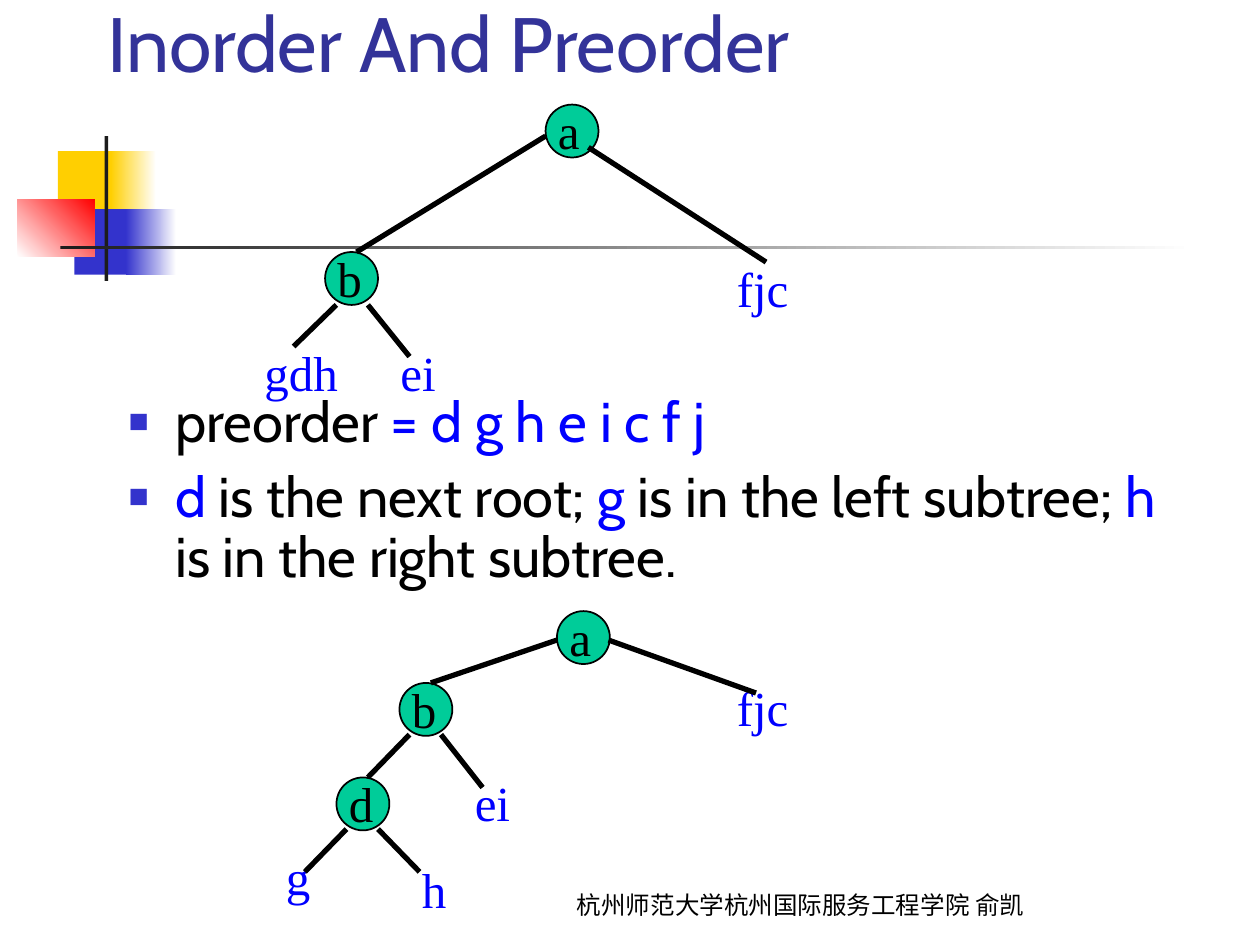
from lxml.etree import SubElement
from pptx import Presentation
from pptx.dml.color import RGBColor
from pptx.enum.shapes import MSO_CONNECTOR, MSO_SHAPE
from pptx.enum.text import MSO_ANCHOR, MSO_AUTO_SIZE, PP_ALIGN
from pptx.oxml.ns import qn
from pptx.util import Inches, Pt

COLORS = {
    "title": "333399", "text": "000000", "accent": "0000FF", "bullet": "3333CC",
    "node": "00CC99", "yellow": "FFCF01", "blue": "3333CC", "red": "FF0000",
    "bar": "1C1C1C", "white": "FFFFFF",
}
NODE_SIZE = 0.42
LABEL_HEIGHT = 0.57
LABEL_RISE = 0.08


def color(name):
    """Return the named palette colour."""
    return RGBColor.from_string(COLORS[name])


def apply_format(target, values):
    """Set every attribute in a dict of format values."""
    for name, value in values.items():
        setattr(target, name, value)


class SlideBuilder:
    """Holds the slide style and draws each kind of element."""

    body_font = "Cabin"
    tree_font = "Times New Roman"

    def __init__(self, slide):
        self.slide = slide

    def add_text(self, paragraph, text, size, font, color_name):
        """Add one formatted run to a paragraph."""
        run = paragraph.add_run()
        run.text = text
        apply_format(run.font, {"size": Pt(size), "name": font})
        run.font.color.rgb = color(color_name)

    def place(self, shape, left, top, width, height):
        """Move and size a shape."""
        apply_format(shape, {"left": Inches(left), "top": Inches(top),
                             "width": Inches(width), "height": Inches(height)})

    def title(self, text, box):
        """Fill the title placeholder."""
        shape = self.slide.shapes.title
        self.place(shape, *box)
        apply_format(shape.text_frame, {"vertical_anchor": MSO_ANCHOR.BOTTOM,
                                        "auto_size": MSO_AUTO_SIZE.NONE})
        paragraph = shape.text_frame.paragraphs[0]
        paragraph.alignment = PP_ALIGN.LEFT
        self.add_text(paragraph, text, 44, self.body_font, "title")

    def bullets(self, items, box):
        """Fill the body placeholder with bulleted items of coloured runs."""
        shape = self.slide.placeholders[1]
        self.place(shape, *box)
        frame = shape.text_frame
        frame.auto_size = MSO_AUTO_SIZE.NONE
        for index, runs in enumerate(items):
            paragraph = frame.add_paragraph() if index else frame.paragraphs[0]
            self.bullet(paragraph)
            apply_format(paragraph, {"line_spacing": 0.9,
                                     "space_before": Pt(7.9 if index else 0)})
            for text, color_name in runs:
                self.add_text(paragraph, text, 32, self.body_font, color_name)

    def bullet(self, paragraph):
        """Give a paragraph a small square bullet and hanging indent."""
        properties = paragraph._p.get_or_add_pPr()
        properties.set("marL", str(Inches(0.37)))
        properties.set("indent", str(-Inches(0.37)))
        bullet_color = SubElement(properties, qn("a:buClr"))
        SubElement(bullet_color, qn("a:srgbClr"), val=COLORS["bullet"])
        SubElement(properties, qn("a:buSzPct"), val="60000")
        SubElement(properties, qn("a:buChar"), char="■")

    def block(self, box, stops, angle=0, kind=MSO_SHAPE.RECTANGLE):
        """Draw a borderless block with a solid or two-colour gradient fill."""
        shape = self.slide.shapes.add_shape(kind, *map(Inches, box))
        shape.shadow.inherit = False
        shape.line.fill.background()
        if len(stops) == 1:
            shape.fill.solid()
            shape.fill.fore_color.rgb = color(stops[0])
        else:
            shape.fill.gradient()
            shape.fill.gradient_angle = angle
            for stop, name, position in zip(shape.fill.gradient_stops, stops, (0, 1)):
                stop.color.rgb = color(name)
                stop.position = position

    def footer(self, text, box):
        """Draw the centred footer line."""
        frame = self.slide.shapes.add_textbox(*map(Inches, box)).text_frame
        apply_format(frame, {"word_wrap": True, "vertical_anchor": MSO_ANCHOR.BOTTOM})
        paragraph = frame.paragraphs[0]
        apply_format(paragraph, {"alignment": PP_ALIGN.CENTER, "line_spacing": 0.96})
        self.add_text(paragraph, text, 14, self.body_font, "text")

    def label(self, shapes, text, left, top, width, color_name):
        """Draw a tree label."""
        box = shapes.add_textbox(*map(Inches, (left, top, width, LABEL_HEIGHT)))
        box.text_frame.word_wrap = True
        self.add_text(box.text_frame.paragraphs[0], text, 28, self.tree_font, color_name)

    def node(self, shapes, text, left, top):
        """Draw a round tree node with its letter."""
        circle = shapes.add_shape(MSO_SHAPE.OVAL, *map(Inches, (left, top, NODE_SIZE, NODE_SIZE)))
        circle.shadow.inherit = False
        circle.fill.solid()
        circle.fill.fore_color.rgb = color("node")
        circle.line.color.rgb = color("text")
        circle.line.width = Pt(1)
        self.label(shapes, text, left, top - LABEL_RISE, 0.83, "text")

    def edge(self, shapes, *ends):
        """Draw a tree edge."""
        line = shapes.add_connector(MSO_CONNECTOR.STRAIGHT, *map(Inches, ends))
        line.line.color.rgb = color("text")
        line.line.width = Pt(3)
        SubElement(line._element.spPr, qn("a:effectLst"))

    def tree(self, nodes, leaves, edges):
        """Draw a grouped tree of nodes, leaf labels and edges."""
        shapes = self.slide.shapes.add_group_shape().shapes
        for node in nodes:
            self.node(shapes, *node)
        for leaf in leaves:
            self.label(shapes, *leaf, "accent")
        for edge in edges:
            self.edge(shapes, *edge)


def main():
    """Build and save the slide."""
    presentation = Presentation()
    apply_format(presentation, {"slide_width": Inches(10), "slide_height": Inches(7.5)})
    builder = SlideBuilder(presentation.slides.add_slide(presentation.slide_layouts[1]))

    builder.block((0.46, 1.2, 0.48, 0.52), ["yellow"])
    builder.block((0.88, 1.2, 0.36, 0.52), ["yellow", "white"])
    builder.block((0.59, 1.66, 0.46, 0.52), ["blue"])
    builder.block((1, 1.66, 0.4, 0.52), ["blue", "white"])
    builder.block((0.14, 1.58, 0.61, 0.46), ["white", "red"], angle=45)
    builder.block((0.83, 1.08, 0.03, 1.15), ["bar"])
    builder.block((0.48, 1.95, 9, 0.03), ["bar", "white"])
    builder.footer("杭州师范大学杭州国际服务工程学院 俞凯", (4.06, 7.02, 4.59, 0.33))

    builder.title("Inorder And Preorder", (0.75, 0.17, 8.5, 0.58))
    builder.bullets([
        [("preorder ", "text"), ("= d g h e i c f j", "accent")],
        [("d ", "accent"), ("is the next root; ", "text"), ("g ", "accent"),
         ("is in the left subtree; ", "text"), ("h ", "accent"),
         ("is in the right subtree.", "text")],
    ], (0.92, 3.08, 8.5, 2))

    builder.tree(
        nodes=[("a", 4.33, 0.83), ("b", 2.58, 2)],
        leaves=[("gdh", 2, 2.67, 0.83), ("fjc", 5.75, 2, 1.42), ("ei", 3.08, 2.67, 0.67)],
        edges=[(4.33, 1.08, 2.83, 2), (4.67, 1.17, 6.08, 2.08),
               (2.67, 2.42, 2.33, 2.75), (2.92, 2.42, 3.25, 2.83)],
    )
    builder.tree(
        nodes=[("a", 4.42, 4.85), ("b", 3.17, 5.42), ("d", 2.67, 6.17)],
        leaves=[("g", 2.17, 6.67, 0.42), ("fjc", 5.75, 5.33, 1.42),
                ("ei", 3.67, 6.08, 0.67), ("h", 3.25, 6.77, 0.5)],
        edges=[(4.42, 5.08, 3.42, 5.42), (4.83, 5.08, 6, 5.5),
               (3.25, 5.83, 2.92, 6.17), (3.5, 5.83, 3.83, 6.25),
               (2.75, 6.58, 2.42, 6.92), (3, 6.58, 3.33, 6.92)],
    )
    presentation.save("out.pptx")


if __name__ == "__main__":
    main()
